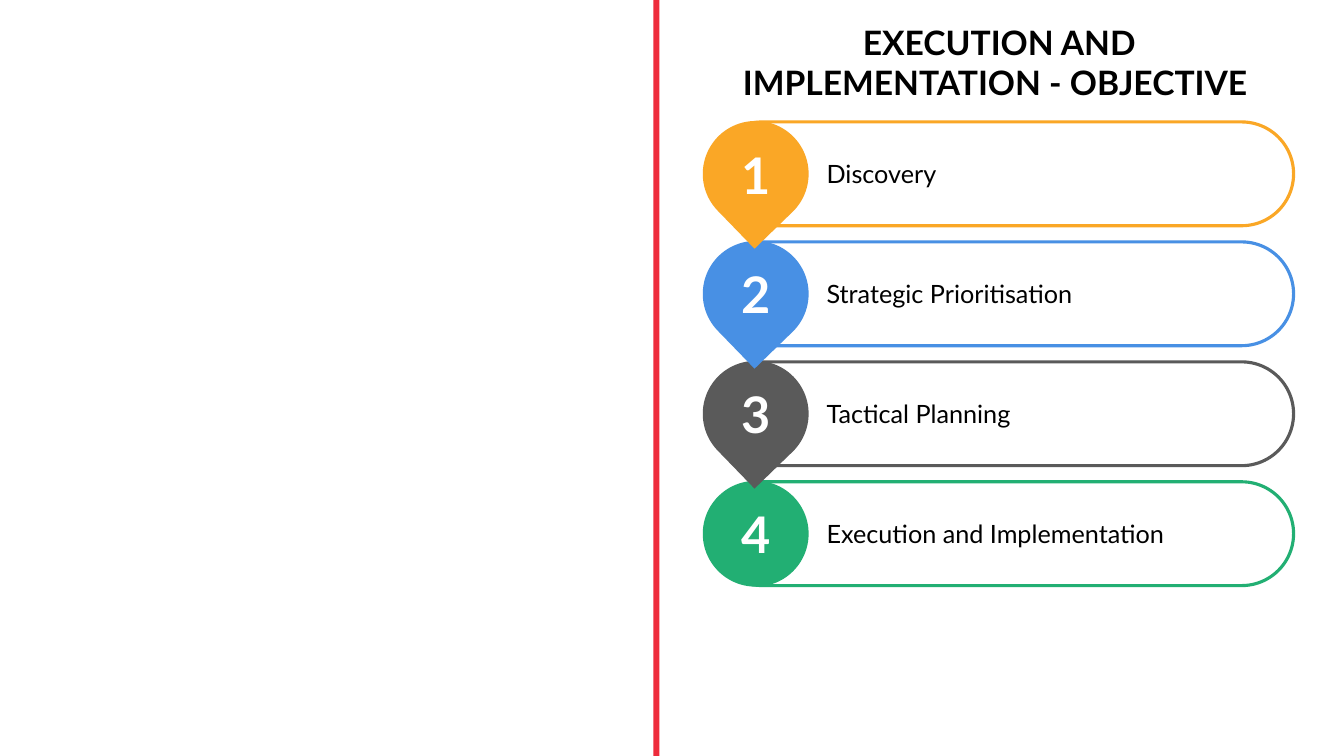
from pptx import Presentation
from pptx.dml.color import RGBColor
from pptx.enum.shapes import MSO_SHAPE as Shape
from pptx.enum.text import MSO_ANCHOR as Anchor, MSO_AUTO_SIZE as AutoSize, PP_ALIGN as Align
from pptx.util import Inches, Pt

TITLE = "EXECUTION AND IMPLEMENTATION - OBJECTIVE "
STEPS = [
    ("Discovery", "orange"),
    ("Strategic Prioritisation", "blue"),
    ("Tactical Planning", "grey"),
    ("Execution and Implementation", "green"),
]
COLORS = {
    "orange": "FAA726", "blue": "4890E4", "grey": "5A5A5A", "green": "22AF73",
    "red": "EE2C3C", "white": "FFFFFF", "black": "000000",
}
FONT = "Lato"
WIDTH, HEIGHT = 13.33, 7.5
FIRST_ROW, ROW_PITCH = 1.2, 1.19
PIN_LEFT, PIN_SIZE = 6.97, 1.05
PILL_LEFT, PILL_WIDTH, PILL_HEIGHT = 7.05, 5.78, 1.03
LABEL_LEFT, LABEL_WIDTH, LABEL_HEIGHT = 8.1, 4.34, 0.4
NUMBER_WIDTH, NUMBER_HEIGHT = 0.67, 0.71

deck = Presentation()
deck.slide_width, deck.slide_height = Inches(WIDTH), Inches(HEIGHT)
slide = deck.slides.add_slide(deck.slide_layouts[5])


def color(name):
    return RGBColor.from_string(COLORS[name])


def box(left, top, width, height):
    return [Inches(value) for value in (left, top, width, height)]


def write(text, place, holder=None, size=18, ink="black", bold=False, align=Align.CENTER):
    holder = holder or slide.shapes.add_textbox(*place)
    holder.left, holder.top, holder.width, holder.height = place
    frame = holder.text_frame
    frame.word_wrap = True
    frame.auto_size = AutoSize.NONE
    frame.vertical_anchor = Anchor.MIDDLE
    paragraph = frame.paragraphs[0]
    paragraph.alignment = align
    run = paragraph.add_run()
    run.text = text
    run.font.name, run.font.size, run.font.bold = FONT, Pt(size), bold
    run.font.color.rgb = color(ink)


def draw(kind, place, fill, line=None):
    shape = slide.shapes.add_shape(kind, *place)
    shape.shadow.inherit = False
    shape.fill.solid()
    shape.fill.fore_color.rgb = color(fill)
    if line:
        shape.line.color.rgb = color(line)
        shape.line.width = Pt(2.25)
    else:
        shape.line.fill.background()
    return shape


draw(Shape.RECTANGLE, box(6.48, 0, 0.06, HEIGHT), "red")
write(TITLE, box(6.99, 0.33, 5.84, 0.57), holder=slide.shapes.title, size=24, bold=True)

for number, (step, hue) in reversed(list(enumerate(STEPS, 1))):
    top = FIRST_ROW + (number - 1) * ROW_PITCH
    middle = top + PIN_SIZE / 2

    pill = draw(Shape.ROUNDED_RECTANGLE,
                box(PILL_LEFT, middle - PILL_HEIGHT / 2, PILL_WIDTH, PILL_HEIGHT), "white", hue)
    pill.adjustments[0] = 0.5

    last = number == len(STEPS)
    pin = draw(Shape.OVAL if last else Shape.TEAR, box(PIN_LEFT, top, PIN_SIZE, PIN_SIZE), hue)
    pin.rotation = 135.9

    write(step, box(LABEL_LEFT, middle - LABEL_HEIGHT / 2, LABEL_WIDTH, LABEL_HEIGHT),
          align=Align.JUSTIFY)
    write(str(number),
          box(PIN_LEFT + (PIN_SIZE - NUMBER_WIDTH) / 2, middle - NUMBER_HEIGHT / 2,
              NUMBER_WIDTH, NUMBER_HEIGHT),
          size=36, ink="white", bold=True)

deck.save("out.pptx")
